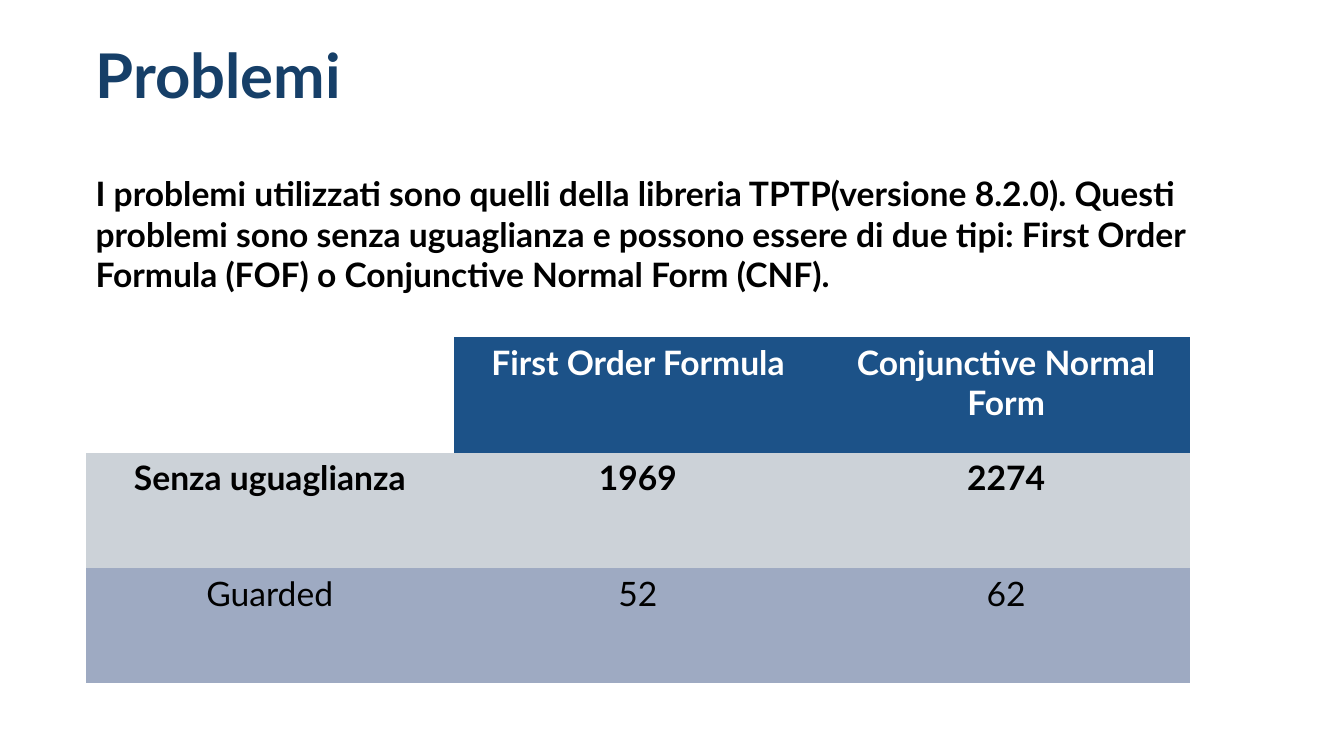
from dataclasses import dataclass

from pptx import Presentation
from pptx.dml.color import RGBColor
from pptx.enum.text import MSO_AUTO_SIZE, PP_ALIGN as Align
from pptx.util import Pt


@dataclass(frozen=True)
class Theme:
    font: str = "Lato"
    title_size: int = 44
    body_size: int = 24
    title: str = "163F68"
    text: str = "000000"
    white: str = "FFFFFF"
    header_fill: str = "1C5288"
    total_fill: str = "CCD2D8"
    guarded_fill: str = "9EAAC2"


THEME = Theme()
LEFT = 61.2
PLAIN_TABLE_STYLE = "{2D5ABB26-0587-4C30-8999-92F81FD0307C}"

TABLE_ROWS = [
    (["", "First Order Formula", "Conjunctive Normal Form"],
     THEME.header_fill, THEME.white, True),
    (["Senza uguaglianza", "1969", "2274"], THEME.total_fill, THEME.text, True),
    (["Guarded", "52", "62"], THEME.guarded_fill, THEME.text, False),
]


def write_text(text_frame, text, size, color, bold=True, align=Align.LEFT):
    paragraph = text_frame.paragraphs[0]
    paragraph.alignment = align
    run = paragraph.add_run()
    run.text = text
    run.font.color.rgb = RGBColor.from_string(color)
    font_format = {"name": THEME.font, "size": Pt(size), "bold": bold}
    for name, value in font_format.items():
        setattr(run.font, name, value)


def add_text(slide, box, text, size, color):
    shape = slide.shapes.add_textbox(*map(Pt, box))
    frame_format = {"word_wrap": True, "auto_size": MSO_AUTO_SIZE.SHAPE_TO_FIT_TEXT}
    for name, value in frame_format.items():
        setattr(shape.text_frame, name, value)
    write_text(shape.text_frame, text, size, color)


def fill_cell(cell, color):
    cell.fill.solid()
    cell.fill.fore_color.rgb = RGBColor.from_string(color)


def add_problem_table(slide, box, rows):
    """Add equal rows and columns; the empty corner cell stays white."""
    frame = slide.shapes.add_table(len(rows), len(rows[0][0]), *map(Pt, box))
    table = frame.table
    table.first_row = table.horz_banding = False
    style_id = table._tbl.tblPr.find("{*}tableStyleId")
    style_id.text = PLAIN_TABLE_STYLE
    for row, (texts, fill, color, bold) in zip(table.rows, rows):
        for cell, text in zip(row.cells, texts):
            fill_cell(cell, fill if text else THEME.white)
            if text:
                write_text(cell.text_frame, text, THEME.body_size, color, bold,
                           Align.CENTER)


def main():
    presentation = Presentation()
    presentation.slide_width, presentation.slide_height = Pt(960), Pt(540)
    slide = presentation.slides.add_slide(presentation.slide_layouts[6])

    add_text(slide, (LEFT, 23, 466, 60.5), "Problemi",
             THEME.title_size, THEME.title)
    add_text(slide, (LEFT, 120.2, 800.6, 94.5),
             "I problemi utilizzati sono quelli della libreria TPTP(versione 8.2.0). "
             "Questi problemi sono senza uguaglianza e possono essere di due tipi: "
             "First Order Formula (FOF) o Conjunctive Normal Form (CNF).",
             THEME.body_size, THEME.text)
    add_problem_table(slide, (LEFT, 241, 789, 247), TABLE_ROWS)

    presentation.save("out.pptx")


if __name__ == "__main__":
    main()
